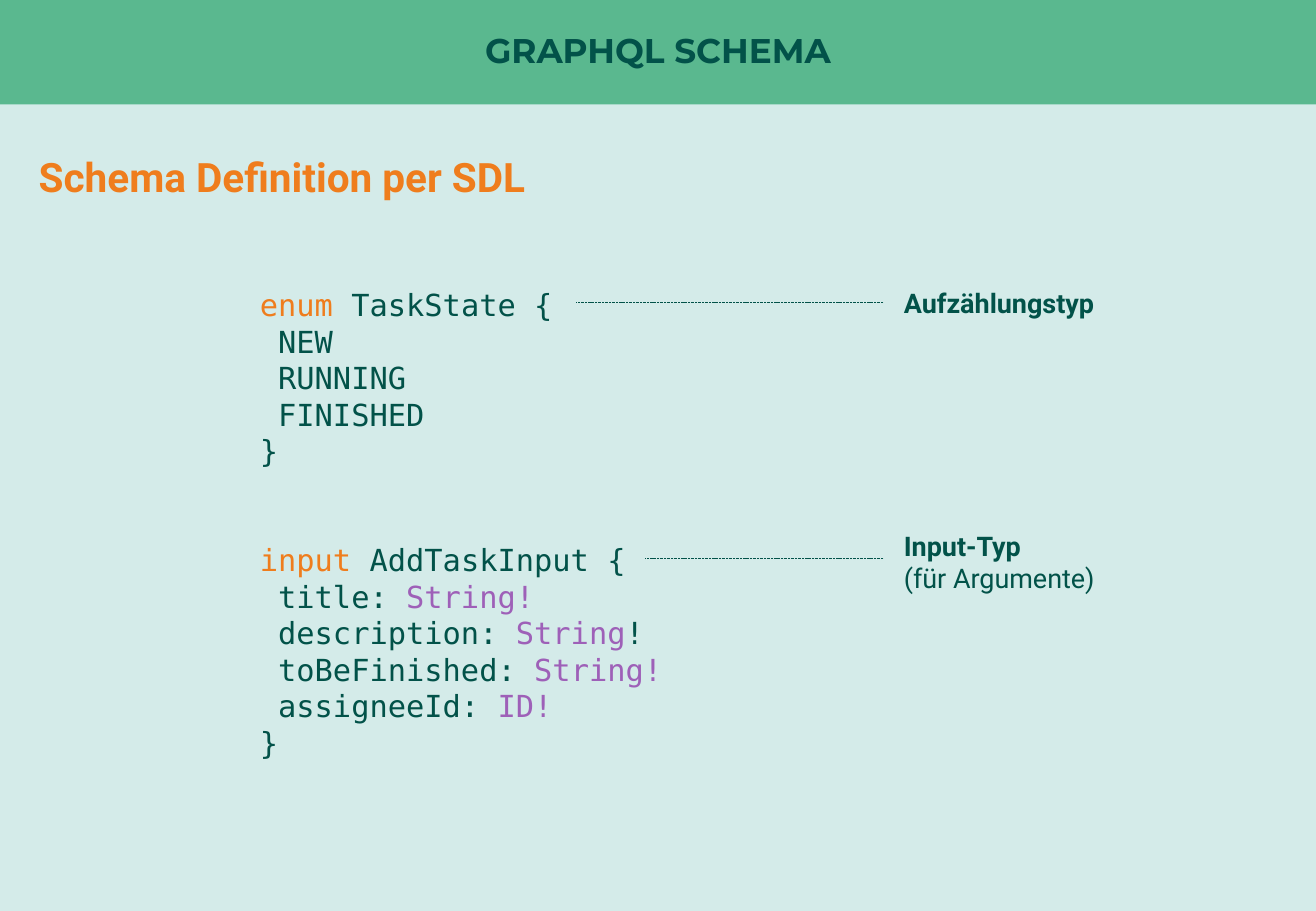
from dataclasses import dataclass

from lxml import etree
from pptx import Presentation
from pptx.dml.color import RGBColor
from pptx.enum.dml import MSO_LINE
from pptx.enum.shapes import MSO_CONNECTOR, MSO_SHAPE
from pptx.enum.text import MSO_ANCHOR, PP_ALIGN
from pptx.oxml.ns import qn
from pptx.util import Inches, Pt


@dataclass(frozen=True)
class Theme:
    background: str = "D4EBE9"
    band: str = "5AB88F"
    ink: str = "025249"
    accent: str = "EF7D1D"
    type_name: str = "9E60B8"
    title_font: str = "Montserrat"
    text_font: str = "Roboto"
    code_font: str = "DejaVu Sans Mono"
    title_size: float = 20.3
    heading_size: float = 24
    code_size: float = 18
    label_size: float = 16
    line_width: float = 0.5


class SlideBuilder:
    def __init__(self, prs, theme):
        self.theme = theme
        self.slide = prs.slides.add_slide(prs.slide_layouts[6])
        fill = self.slide.background.fill
        fill.solid()
        fill.fore_color.rgb = RGBColor.from_string(theme.background)

    def style(self, r, font, size, color, bold=False):
        r.font.name = font
        r.font.size = Pt(size)
        r.font.bold = bold
        r.font.color.rgb = RGBColor.from_string(color)

    def text_frame(self, left, top, width, height):
        sp = self.slide.shapes.add_textbox(
            Inches(left), Inches(top), Inches(width), Inches(height))
        sp.text_frame.word_wrap = True
        return sp.text_frame

    def title_band(self, text, width, height):
        t = self.theme
        sp = self.slide.shapes.add_shape(
            MSO_SHAPE.RECTANGLE, 0, 0, Inches(width), Inches(height))
        sp.shadow.inherit = False
        sp.fill.solid()
        sp.fill.fore_color.rgb = RGBColor.from_string(t.band)
        sp.line.fill.background()
        tf = sp.text_frame
        tf.margin_left = tf.margin_right = tf.margin_top = tf.margin_bottom = 0
        tf.vertical_anchor = MSO_ANCHOR.MIDDLE
        p = tf.paragraphs[0]
        p.text = text
        p.alignment = PP_ALIGN.CENTER
        p.line_spacing = 0.9
        self.style(p.runs[0], t.title_font, t.title_size, t.ink, True)

    def heading(self, text, left, top, width, height):
        t = self.theme
        p = self.text_frame(left, top, width, height).paragraphs[0]
        p.text = text
        p.line_spacing = 1.2
        self.style(p.runs[0], t.text_font, t.heading_size, t.accent, True)

    def code(self, lines, left, top, width, line_height):
        """Each line is a list of (text, colour) parts."""
        t = self.theme
        tf = self.text_frame(left, top, width, len(lines) * line_height + 0.1)
        for i, parts in enumerate(lines):
            p = tf.add_paragraph() if i else tf.paragraphs[0]
            for text, color in parts:
                r = p.add_run()
                r.text = text
                self.style(r, t.code_font, t.code_size, color)

    def label(self, text, left, top, width, height):
        """The first line is bold, the rest regular."""
        t = self.theme
        tf = self.text_frame(left, top, width, height)
        tf.text = text
        for i, p in enumerate(tf.paragraphs):
            self.style(p.runs[0], t.text_font, t.label_size, t.ink, i == 0)

    def leader(self, left, right, y):
        t = self.theme
        line = self.slide.shapes.add_connector(
            MSO_CONNECTOR.STRAIGHT, Inches(right), Inches(y), Inches(left), Inches(y))
        line.line.color.rgb = RGBColor.from_string(t.ink)
        line.line.width = Pt(t.line_width)
        line.line.dash_style = MSO_LINE.SQUARE_DOT
        etree.SubElement(line._element.spPr, qn("a:effectLst"))


def main():
    width, height = 10.83, 7.5
    prs = Presentation()
    prs.slide_width, prs.slide_height = Inches(width), Inches(height)
    theme = Theme()
    ink, accent, type_name = theme.ink, theme.accent, theme.type_name

    task_state = [
        [("enum ", accent), ("TaskState {", ink)],
        [(" NEW", ink)],
        [(" RUNNING", ink)],
        [(" FINISHED", ink)],
        [("}", ink)],
    ]
    add_task_input = [
        [("input ", accent), ("AddTaskInput {", ink)],
        [(" title: ", ink), ("String!", type_name)],
        [(" description: ", ink), ("String", type_name), ("!", ink)],
        [(" toBeFinished: ", ink), ("String!", type_name)],
        [(" assigneeId: ", ink), ("ID!", type_name)],
        [("}", ink)],
    ]

    slide = SlideBuilder(prs, theme)
    slide.title_band("GRAPHQL SCHEMA", width, 0.86)
    slide.heading("Schema Definition per SDL", 0.22, 1.12, 10.39, 0.55)

    # code, code top, label, label top, label height, leader start, leader y
    definitions = [
        (task_state, 2.31, "Aufzählungstyp", 2.31, 0.37, 4.74, 2.49),
        (add_task_input, 4.41, "Input-Typ\n(für Argumente)", 4.31, 0.64, 5.31, 4.6),
    ]
    for lines, code_top, text, label_top, label_height, start, y in definitions:
        slide.code(lines, 2.04, code_top, 6.76, 0.3)
        slide.label(text, 7.34, label_top, 3.2, label_height)
        slide.leader(start, 7.27, y)

    prs.save("out.pptx")


if __name__ == "__main__":
    main()
